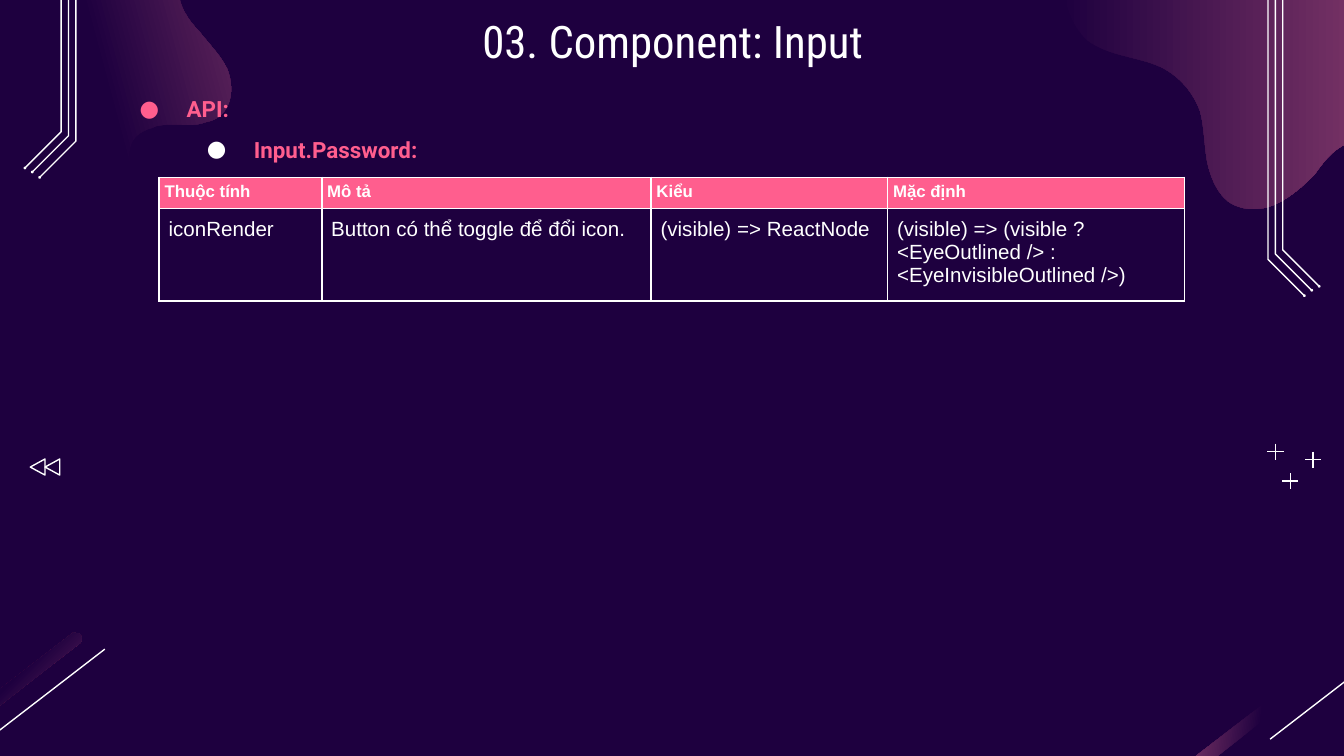
from pptx import Presentation
from pptx.dml.color import RGBColor
from pptx.enum.shapes import MSO_CONNECTOR, MSO_SHAPE
from pptx.enum.text import MSO_ANCHOR, PP_ALIGN
from pptx.oxml import parse_xml
from pptx.oxml.ns import qn
from pptx.util import Pt
from lxml import etree

PX = 9144  # 100 px to the inch
LINE = MSO_CONNECTOR.STRAIGHT
TRIANGLE, OVAL = MSO_SHAPE.ISOSCELES_TRIANGLE, MSO_SHAPE.OVAL
TOP, CENTER, LEFT = MSO_ANCHOR.TOP, PP_ALIGN.CENTER, PP_ALIGN.LEFT
NIGHT = RGBColor(0x1E, 0x00, 0x3F)
MAUVE = RGBColor(0xA6, 0x4D, 0x79)
PINK = RGBColor(0xFF, 0x5E, 0x8E)
WHITE = RGBColor(0xFF, 0xFF, 0xFF)
NAMESPACE = "http://schemas.openxmlformats.org/drawingml/2006/main"

# Bezier outlines: a start point, then two handles and an end point per curve
LEFT_BLOB = [
    (48, 190), (74, 183), (86, 169), (90, 165), (98, 156), (101, 143), (99, 131),
    (98, 124), (95, 117), (97, 111), (98, 102), (106, 97), (114, 95),
    (115, 94), (115, 94), (116, 94), (124, 92), (133, 93), (142, 93),
    (146, 93), (150, 92), (153, 91), (158, 90), (163, 88), (166, 84),
    (174, 75), (173, 61), (169, 51), (164, 41), (155, 32), (148, 23),
    (140, 15), (133, 4), (133, -7), (133, -16), (136, -25), (143, -31),
    (147, -35), (153, -38), (159, -39), (168, -42), (179, -42), (190, -41),
    (201, -41), (212, -40), (223, -42), (225, -43), (226, -43), (228, -43),
    (237, -46), (246, -51), (252, -58), (259, -66), (261, -78), (258, -87),
    (256, -105), (244, -125), (233, -134), (215, -150), (190, -155), (167, -151),
    (166, -150), (165, -150), (164, -150), (129, -140), (103, -110), (70, -95),
    (65, -93), (59, -91), (54, -90), (22, -81), (-13, -85), (-47, -82),
    (-62, -81), (-77, -78), (-91, -74), (-104, -71), (-116, -67), (-128, -61),
    (-145, -54), (-162, -44), (-174, -30), (-186, -17), (-195, 2), (-194, 22),
    (-193, 46), (-176, 68), (-156, 80), (-135, 93), (-112, 97), (-88, 99),
    (-74, 101), (-60, 101), (-46, 106), (-32, 110), (-19, 119), (-13, 133),
    (-8, 144), (-8, 155), (-3, 166), (6, 184), (29, 195), (48, 190)]
RIGHT_BLOB = [
    (1125, 38), (1125, 13), (1118, -13), (1105, -35), (1094, -54), (1078, -70),
    (1058, -77), (1036, -85), (1012, -81), (989, -84), (967, -87), (945, -97),
    (929, -113), (918, -123), (909, -135), (897, -141), (883, -148), (867, -146),
    (852, -143), (840, -140), (828, -136), (819, -129), (803, -117), (796, -97),
    (793, -78), (790, -65), (789, -51), (789, -38), (789, -31), (789, -24),
    (790, -18), (791, 0), (796, 18), (809, 30), (825, 42), (847, 42),
    (864, 50), (878, 57), (888, 69), (893, 83), (896, 94), (896, 107),
    (898, 119), (900, 130), (905, 143), (914, 150), (924, 157), (938, 157),
    (949, 152), (960, 147), (969, 139), (978, 130), (983, 123), (988, 116),
    (995, 111), (1002, 106), (1010, 103), (1018, 106), (1033, 110), (1038, 130),
    (1052, 138), (1085, 157), (1108, 112), (1117, 88), (1122, 72), (1125, 55),
    (1125, 38)]
STREAK = [
    (146, 1), (147, 1), (149, 1), (150, 2), (151, 5), (151, 8), (149, 9),
    (102, 45), (56, 82), (9, 118), (6, 119), (3, 119), (2, 117),
    (0, 115), (0, 112), (3, 110), (50, 74), (96, 38), (143, 2),
    (144, 1), (145, 0), (146, 1)]


def px(*lengths):
    return [round(length * PX) for length in lengths]


def add_outline(page, left, top, points, close):
    places = [px(left + x, top + y) for x, y in points]
    builder = page.shapes.build_freeform(*places[0], scale=1.0)
    builder.add_line_segments(places[1:], close=close)
    shape = builder.convert_to_shape()
    shape.shadow.inherit = False
    return shape


def bend_outline(shape):
    """Join every three straight segments into one cubic curve."""
    segments = list(shape._element.iter(qn("a:lnTo")))
    for first in range(0, len(segments), 3):
        curve = etree.Element(qn("a:cubicBezTo"))
        segments[first].addprevious(curve)
        for segment in segments[first:first + 3]:
            curve.append(segment[0])
            segment.getparent().remove(segment)


def add_gradient_shape(page, left, top, curves, stops, direction):
    shape = add_outline(page, left, top, curves, True)
    bend_outline(shape)
    shape.line.fill.background()
    shape.fill.gradient()
    old = shape._element.spPr.find(qn("a:gradFill"))
    marks = "".join(f'<a:gs pos="{place * 1000}"><a:srgbClr val="{color}"/></a:gs>'
                    for place, color in stops)
    old.getparent().replace(old, parse_xml(
        f'<a:gradFill xmlns:a="{NAMESPACE}" rotWithShape="1">'
        f'<a:gsLst>{marks}</a:gsLst>{direction}</a:gradFill>'))


def linear(degrees):
    return f'<a:lin ang="{degrees * 60000}" scaled="0"/>'


def add_line(page, *ends):
    line = page.shapes.add_connector(LINE, *px(*ends))
    line.line.color.rgb, line.line.width = WHITE, Pt(0.75)
    etree.SubElement(line._element.spPr, qn("a:effectLst"))


def add_streak(page, left, top, direction):
    stops = [(0, NIGHT), (50, NIGHT), (100, MAUVE)]
    add_gradient_shape(page, left, top, STREAK, stops, direction)
    add_line(page, left + 168, top + 13, left + 81, top + 80)


def add_rails(page, left, top, side):
    """Three bent rails with end dots; side is 1 to bend right, -1 to bend left."""
    for number, elbow in enumerate((312, 308, 305)):
        x = left + side * 5.5 * number
        end = x + side * 27
        rail = add_outline(page, 0, top, [(x, 0), (x, elbow), (end, elbow + 27)], False)
        rail.fill.background()
        rail.line.color.rgb, rail.line.width = WHITE, Pt(0.75)
        dot = page.shapes.add_shape(OVAL, *px(end - 1, top + elbow + 26, 2, 2))
        dot.shadow.inherit = False
        dot.fill.solid()
        dot.fill.fore_color.rgb = WHITE
        dot.line.fill.background()


def add_plus_signs(page, left, top):
    for x, y in ((17, 28), (34, 12), (6, 6)):
        add_line(page, left + x - 6, top + y, left + x + 6, top + y)
        add_line(page, left + x, top + y - 6, left + x, top + y + 6)


def add_rewind(page, left, top):
    for number in range(2):
        arrow = page.shapes.add_shape(TRIANGLE, *px(left + 11 * number, top, 12, 11))
        arrow.rotation = 270
        arrow.shadow.inherit = False
        arrow.fill.background()
        arrow.line.color.rgb, arrow.line.width = WHITE, Pt(0.75)


def write(para, words, color, **formats):
    span = para.add_run()
    span.text = words
    span.font.color.rgb = color
    for name, value in formats.items():
        setattr(span.font, name, value)


def add_text_box(page, *box):
    frame = page.shapes.add_textbox(*px(*box)).text_frame
    frame.word_wrap = True
    frame.vertical_anchor = TOP
    for side in ("left", "top", "right", "bottom"):
        setattr(frame, f"margin_{side}", px(10)[0])
    return frame


def add_title(page, *box):
    para = add_text_box(page, *box).paragraphs[0]
    para.alignment = CENTER
    write(para, "03. Component: Input", WHITE, name="Roboto Condensed", size=Pt(24))


def add_bullets(page, *box):
    frame = add_text_box(page, *box)
    items = (("API:", PINK), ("Input.Password:", WHITE))
    for level, (words, bullet) in enumerate(items):
        para = frame.add_paragraph() if level else frame.paragraphs[0]
        para.level, para.line_spacing, para.alignment = level, 1.5, LEFT
        props = para._p.get_or_add_pPr()
        props.set("marL", str(px(50 * (level + 1))[0]))
        props.set("indent", str(px(-35)[0]))
        color = etree.SubElement(props, qn("a:buClr"))
        etree.SubElement(color, qn("a:srgbClr"), val=str(bullet))
        etree.SubElement(props, qn("a:buFont"), typeface="Roboto")
        etree.SubElement(props, qn("a:buChar"), char="●")
        write(para, words, PINK, name="Roboto", size=Pt(12), bold=True)


def add_property_table(page, left, top):
    rows = (("Thuộc tính", "Mô tả", "Kiểu", "Mặc định"),
            ("iconRender", "Button có thể toggle để đổi icon.", "(visible) => ReactNode",
             "(visible) => (visible ? <EyeOutlined /> : <EyeInvisibleOutlined />)"))
    widths, heights = (121, 245, 176, 221), (20, 0)  # rows grow to fit their text
    table = page.shapes.add_table(2, 4, *px(left, top, sum(widths), sum(heights))).table
    for column, width in zip(table.columns, widths):
        column.width = px(width)[0]
    for number, (row, height) in enumerate(zip(table.rows, heights)):
        row.height = px(height)[0]
        header = number == 0
        for cell, words in zip(row.cells, rows[number]):
            for side in ("left", "top", "right", "bottom"):
                setattr(cell, f"margin_{side}", px(4 if header else 7)[0])
            props = cell._tc.get_or_add_tcPr()
            for edge in "LRTB":
                border = etree.SubElement(props, qn(f"a:ln{edge}"), w=str(Pt(1)))
                paint = etree.SubElement(border, qn("a:solidFill"))
                etree.SubElement(paint, qn("a:srgbClr"), val=str(WHITE))
            if header:
                cell.fill.solid()
                cell.fill.fore_color.rgb = PINK
            else:
                cell.fill.background()
            write(cell.text_frame.paragraphs[0], words, WHITE, name="Arial",
                  size=Pt(9 if header else 11), bold=header)


def main():
    deck = Presentation()
    deck.slide_width, deck.slide_height = px(1000, 562.5)
    page = deck.slides.add_slide(deck.slide_layouts[6])
    page.background.fill.solid()
    page.background.fill.fore_color.rgb = NIGHT

    # Decoration
    add_gradient_shape(page, 0, 0, LEFT_BLOB,
                       [(0, NIGHT), (56, NIGHT), (100, MAUVE)], linear(345))
    add_gradient_shape(page, 0, 0, RIGHT_BLOB, [(0, NIGHT), (100, MAUVE)], linear(0))
    add_streak(page, -90, 470, '<a:path path="circle">'
               '<a:fillToRect r="100000" b="100000"/></a:path>')
    add_streak(page, 864, 470, linear(187))
    add_rails(page, 943.5, -119, 1)
    add_rails(page, 56.5, -207, -1)
    add_plus_signs(page, 943, 330)
    add_rewind(page, 22, 342)

    # Content
    add_bullets(page, 79, 51, 812, 73)
    add_title(page, 79, 0, 843, 63)
    add_property_table(page, 118.5, 132)
    deck.save("out.pptx")


if __name__ == "__main__":
    main()
